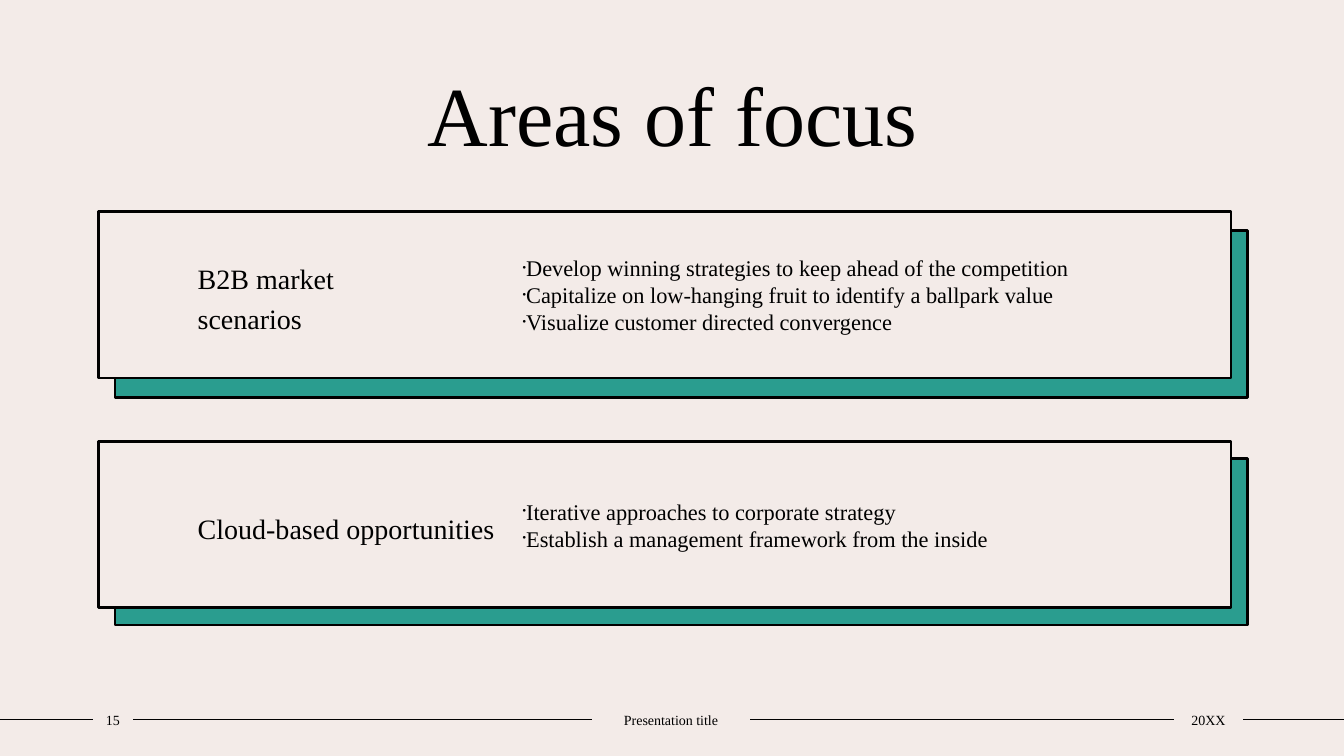
from dataclasses import dataclass
from itertools import pairwise

from lxml import etree
from pptx import Presentation
from pptx.dml.color import RGBColor
from pptx.enum.shapes import MSO_CONNECTOR, MSO_SHAPE
from pptx.enum.text import MSO_ANCHOR, MSO_AUTO_SIZE, PP_ALIGN
from pptx.oxml.ns import qn
from pptx.util import Inches, Pt

STRAIGHT = MSO_CONNECTOR.STRAIGHT
RECTANGLE = MSO_SHAPE.RECTANGLE
MIDDLE, BOTTOM = MSO_ANCHOR.MIDDLE, MSO_ANCHOR.BOTTOM
LEFT, CENTER = PP_ALIGN.LEFT, PP_ALIGN.CENTER
NO_AUTOFIT = MSO_AUTO_SIZE.NONE
COMPARISON_LAYOUT = 4
LEFT_SIDE, RIGHT_SIDE = 1, 3
SLIDE_WIDTH, SLIDE_HEIGHT = 13.33, 7.5


@dataclass(frozen=True)
class Theme:
    font: str = "Times New Roman"
    ink: RGBColor = RGBColor(0x00, 0x00, 0x00)
    paper: RGBColor = RGBColor(0xF3, 0xEB, 0xE8)
    accent: RGBColor = RGBColor(0x2A, 0x9D, 0x8F)
    title_size: int = 60
    heading_size: int = 20
    list_size: int = 16
    footer_size: int = 10
    card_line: int = 2
    footer_line: int = 1


@dataclass(frozen=True)
class Box:
    left: float
    top: float
    width: float
    height: float

    def lengths(self) -> list:
        return [Inches(n) for n in (self.left, self.top, self.width, self.height)]


@dataclass(frozen=True)
class Card:
    heading: str
    points: tuple[str, ...]
    top: float
    shadow_top: float
    heading_index: int
    list_index: int


@dataclass(frozen=True)
class FooterItem:
    text: str
    left: float
    width: float


THEME = Theme()
CARDS = (
    Card("B2B market \nscenarios",
         ("Develop winning strategies to keep ahead of the competition",
          "Capitalize on low-hanging fruit to identify a ballpark value",
          "Visualize customer directed convergence"),
         2.1, 2.29, 1, 2),
    Card("Cloud-based opportunities",
         ("Iterative approaches to corporate strategy",
          "Establish a management framework from the inside"),
         4.38, 4.55, 3, 4),
)
FOOTER_ITEMS = (
    FooterItem("15", 0.92, 0.4),
    FooterItem("Presentation title", 5.87, 1.57),
    FooterItem("20XX", 11.64, 0.69),
)
FOOTER_TOP, FOOTER_HEIGHT = 7, 0.28


def place(shape, box: Box) -> None:
    shape.left, shape.top, shape.width, shape.height = box.lengths()


def add_bullet(paragraph) -> None:
    properties = paragraph._p.get_or_add_pPr()
    properties.set("marL", "0")
    properties.set("indent", str(-Inches(0.15)))
    etree.SubElement(properties, qn("a:buSzPct"), val="50000")
    etree.SubElement(properties, qn("a:buFont"), typeface=THEME.font)
    etree.SubElement(properties, qn("a:buChar"), char="•")


def write_text(shape, *lines: str, size: int, align=LEFT, anchor=MIDDLE,
               margins=(0.1, 0.05, 0.1, 0.05), spacing: float = 1.0,
               bullets: bool = False) -> None:
    """Fill a shape with one paragraph per line; margins run left, top, right, bottom."""
    frame = shape.text_frame
    frame.word_wrap = True
    frame.auto_size = NO_AUTOFIT
    frame.vertical_anchor = anchor
    (frame.margin_left, frame.margin_top,
     frame.margin_right, frame.margin_bottom) = map(Inches, margins)
    for position, line in enumerate(lines):
        paragraph = frame.add_paragraph() if position else frame.paragraphs[0]
        paragraph.text = line
        if bullets:
            add_bullet(paragraph)
        paragraph.alignment = align
        paragraph.line_spacing = spacing
        paragraph.space_before = Pt(0)
        for line_break in paragraph._p.findall(qn("a:br")):
            etree.SubElement(line_break, qn("a:rPr"), sz=str(size * 100))
        for run in paragraph.runs:
            run.font.name = THEME.font
            run.font.size = Pt(size)
            run.font.bold = False
            run.font.color.rgb = THEME.ink


def paint(shape, fill: RGBColor) -> None:
    shape.fill.solid()
    shape.fill.fore_color.rgb = fill
    shape.line.color.rgb = THEME.ink
    shape.line.width = Pt(THEME.card_line)


def draw_card(slide, card: Card) -> None:
    shadow_box = Box(1.14, card.shadow_top, 11.23, 1.65)
    shadow = slide.shapes.add_shape(RECTANGLE, *shadow_box.lengths())
    shadow.shadow.inherit = False
    paint(shadow, THEME.accent)

    heading = slide.placeholders[card.heading_index]
    place(heading, Box(0.98, card.top, 11.23, 1.65))
    paint(heading, THEME.paper)
    write_text(heading, card.heading, size=THEME.heading_size,
               margins=(0.98, 0.05, 7.1, 0.05), spacing=1.2)
    heading.element.addprevious(shadow.element)

    points = slide.placeholders[card.list_index]
    place(points, Box(5.08, card.top + 0.1, 7.01, 1.45))
    write_text(points, *card.points, size=THEME.list_size, bullets=True)


def draw_footer_item(slide, item: FooterItem):
    box = Box(item.left, FOOTER_TOP, item.width, FOOTER_HEIGHT)
    label = slide.shapes.add_textbox(*box.lengths())
    write_text(label, item.text, size=THEME.footer_size, align=CENTER,
               margins=(0, 0.05, 0, 0.05))
    return label


def draw_rule(slide, before, after) -> None:
    """Draw a line between two labels; None stands for the slide's edge."""
    middle = Inches(FOOTER_TOP + FOOTER_HEIGHT / 2)
    rule = slide.shapes.add_connector(STRAIGHT, 0, middle, Inches(SLIDE_WIDTH), middle)
    if before is not None:
        rule.begin_connect(before, RIGHT_SIDE)
    if after is not None:
        rule.end_connect(after, LEFT_SIDE)
    rule.line.color.rgb = THEME.ink
    rule.line.width = Pt(THEME.footer_line)
    etree.SubElement(rule.element.spPr, qn("a:effectLst"))


def main() -> None:
    presentation = Presentation()
    presentation.slide_width = Inches(SLIDE_WIDTH)
    presentation.slide_height = Inches(SLIDE_HEIGHT)
    slide = presentation.slides.add_slide(presentation.slide_layouts[COMPARISON_LAYOUT])
    slide.background.fill.solid()
    slide.background.fill.fore_color.rgb = THEME.paper

    title = slide.shapes.title
    place(title, Box(1.25, 0.56, 10.84, 1.11))
    write_text(title, "Areas of focus", size=THEME.title_size,
               align=CENTER, anchor=BOTTOM)

    for card in CARDS:
        draw_card(slide, card)

    labels = [draw_footer_item(slide, item) for item in FOOTER_ITEMS]
    for before, after in pairwise([None, *labels, None]):
        draw_rule(slide, before, after)

    presentation.save("out.pptx")


if __name__ == "__main__":
    main()
